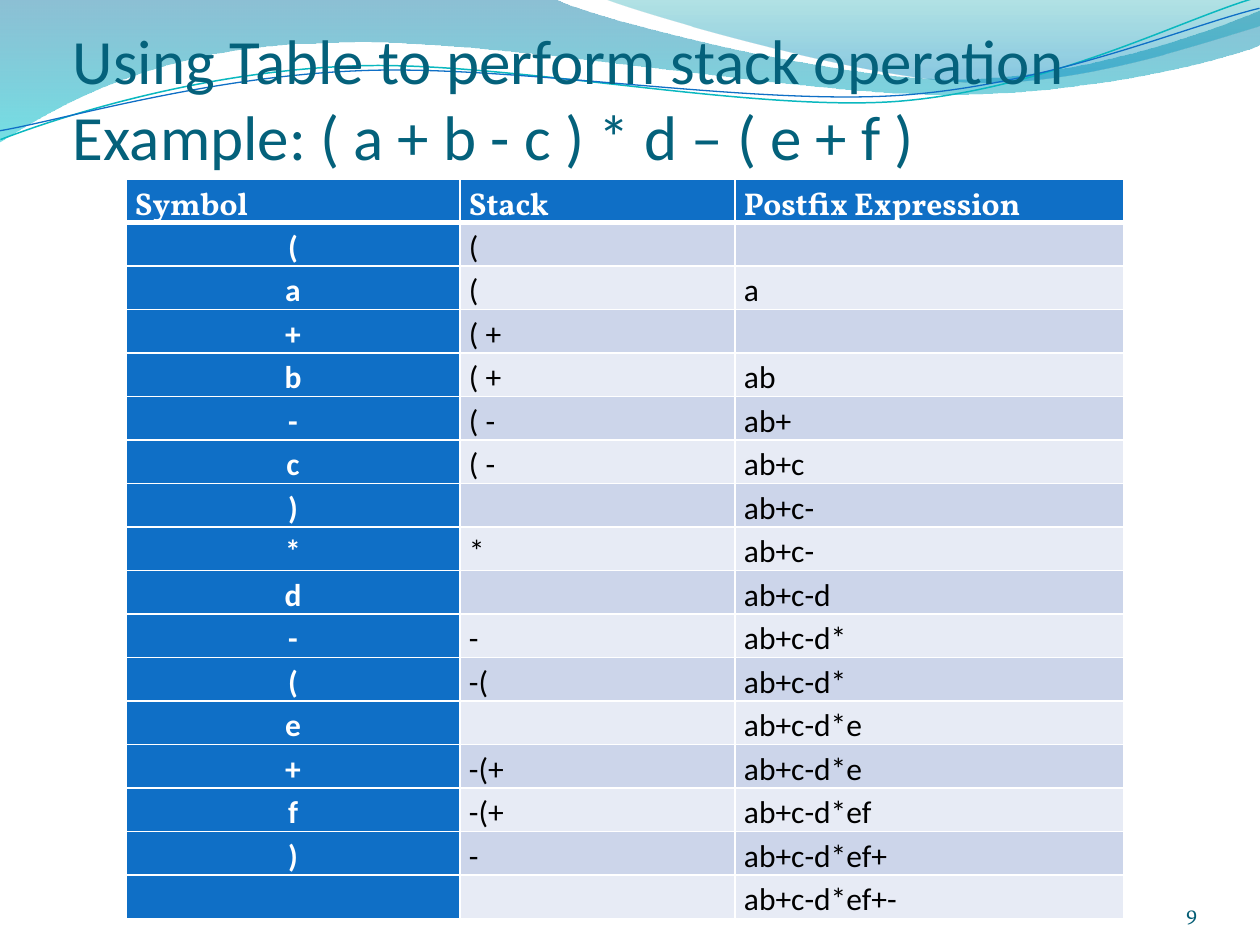
from lxml.etree import SubElement
from pptx import Presentation
from pptx.dml.color import RGBColor
from pptx.enum.text import MSO_ANCHOR as Anchor, PP_ALIGN as Align
from pptx.oxml.ns import qn
from pptx.util import Pt

PX = 914400 / 126

WHITE = RGBColor(0xFF, 0xFF, 0xFF)
BLACK = RGBColor(0, 0, 0)
BLUE = RGBColor(0x0F, 0x6F, 0xC6)
BAND_DARK = RGBColor(0xCC, 0xD5, 0xEA)
BAND_LIGHT = RGBColor(0xE7, 0xEB, 0xF5)
TITLE_TEAL = RGBColor(0x04, 0x61, 0x7B)
NUMBER_TEAL = RGBColor(0x04, 0x5D, 0x75)
TURQUOISE = RGBColor(0x0A, 0xB8, 0xBF)
DEEP_BLUE = RGBColor(0x00, 0x74, 0xA1)
CYAN = RGBColor(0x00, 0xC6, 0xCF)
SEA_GREEN = RGBColor(0x00, 0xA1, 0xA9)
SKY_BLUE = RGBColor(0x00, 0x8B, 0xBF)

TITLE = "Using Table to perform stack operation\nExample: ( a + b - c ) * d \u2013 ( e + f )"
PAGE_NUMBER = "9"
HEADINGS = ("Symbol", "Stack", "Postfix Expression")
STEPS = [
    ("(", "(", ""),
    ("a", "(", "a"),
    ("+", "( +", ""),
    ("b", "( +", "ab"),
    ("-", "( -", "ab+"),
    ("c", "( -", "ab+c"),
    (")", "", "ab+c-"),
    ("*", "*", "ab+c-"),
    ("d", "", "ab+c-d"),
    ("-", "-", "ab+c-d*"),
    ("(", "-(", "ab+c-d*"),
    ("e", "", "ab+c-d*e"),
    ("+", "-(+", "ab+c-d*e"),
    ("f", "-(+", "ab+c-d*ef"),
    (")", "-", "ab+c-d*ef+"),
    ("", "", "ab+c-d*ef+-"),
]
COLUMN_WIDTHS = (334, 275, 389)
TABLE_LEFT, TABLE_TOP = 126, 179
ROW_HEIGHT = 42  # rows grow to fit their text

# Each outline is a start point, then straight (x, y) or curved (six number) pieces.
WAVES = [
    ([(0, 0), (554, -1), (600, 21, 837, 79, 955, 79), (1075, 79, 1207, 33, 1260, 11),
      (1261, 45), (1239, 55, 1096, 96, 940, 94), (784, 94, 481, 35, 324, 43),
      (163, 45, 58, 105, -1, 142), (0, 0)],
     ((0, DEEP_BLUE, 45), (1, CYAN, 55))),
    ([(604, -1), (641, 14, 859, 78, 969, 82), (1079, 87, 1211, 40, 1260, 26),
      (1260, 0), (604, -1)],
     ((0, SEA_GREEN, 30), (0.8, SKY_BLUE, 45))),
]
RIPPLE_TURN = -2.7
RIPPLES = [
    ([(-2, 110), (58, 90, 199, 52, 350, 53), (499, 53, 745, 118, 896, 114),
      (1049, 109, 1184, 45, 1260, 27)], TURQUOISE, 0.85),
    ([(-2, 101), (57, 94, 207, 57, 357, 58), (509, 58, 750, 112, 902, 108),
      (1052, 104, 1189, 52, 1262, 38)], BLUE, 0.75),
]


def px(length):
    """Turn picture pixels into EMU."""
    return round(length * PX)


def draw_outline(slide, outline, close):
    """Add a freeform with true curves and no shadow."""
    start, *pieces = outline
    builder = slide.shapes.build_freeform(*start, scale=PX)
    points = [piece[i:i + 2] for piece in pieces for i in range(0, len(piece), 2)]
    builder.add_line_segments(points, close=close)
    shape = builder.convert_to_shape()
    shape.shadow.inherit = False
    segments = iter(list(shape._element.iter(qn("a:lnTo"))))
    for piece in pieces:
        segment = next(segments)
        if len(piece) == 6:
            segment.tag = qn("a:cubicBezTo")
            for _ in range(2):
                extra = next(segments)
                segment.append(extra[0])
                extra.getparent().remove(extra)
    return shape


def add_wave(slide, outline, stops):
    """Add a translucent band shaded from top to bottom."""
    wave = draw_outline(slide, outline, True)
    wave.line.fill.background()
    wave.fill.gradient()
    wave.fill.gradient_angle = 270
    for stop, (position, color, _) in zip(wave.fill.gradient_stops, stops):
        stop.position = position
        stop.color.rgb = color
    tints = wave._element.spPr.iter(qn("a:srgbClr"))
    for tint, (_, _, opacity) in zip(tints, stops):
        SubElement(tint, qn("a:alpha"), val=str(opacity * 1000))


def add_ripple(slide, outline, color, width):
    """Add a thin wavy line, slightly turned."""
    ripple = draw_outline(slide, outline, False)
    ripple.rotation = RIPPLE_TURN
    ripple.fill.background()
    ripple.line.color.rgb = color
    ripple.line.width = Pt(width)


def write(frame, text, font="Calibri", size=18, color=BLACK, bold=False,
          align=Align.LEFT, spacing=None):
    """Put formatted text into a text frame."""
    paragraph = frame.paragraphs[0]
    paragraph.text = text
    paragraph.alignment = align
    paragraph.line_spacing = spacing
    for run in paragraph.runs:
        run.font.name = font
        run.font.size = Pt(size)
        run.font.bold = bold
        run.font.color.rgb = color


def add_label(slide, box, text, top_inset=0, **style):
    """Add a wrapped text box whose text rests on the bottom."""
    frame = slide.shapes.add_textbox(*map(px, box)).text_frame
    frame.word_wrap = True
    frame.vertical_anchor = Anchor.BOTTOM
    frame.margin_left = frame.margin_right = frame.margin_bottom = 0
    frame.margin_top = px(top_inset)
    write(frame, text, **style)


def format_cell(cell, fill, bottom_width):
    """Set a cell's insets, white borders and fill."""
    cell.margin_left = cell.margin_right = px(9)
    cell.margin_top = cell.margin_bottom = 0
    properties = cell._tc.get_or_add_tcPr()
    for side, width in (("L", 1), ("R", 1), ("T", 1), ("B", bottom_width)):
        border = SubElement(properties, qn(f"a:ln{side}"), w=str(Pt(width)))
        paint = SubElement(border, qn("a:solidFill"))
        SubElement(paint, qn("a:srgbClr"), val=str(WHITE))
    cell.fill.solid()
    cell.fill.fore_color.rgb = fill


def add_stack_table(slide):
    """Add the table that traces the conversion step by step."""
    rows = [HEADINGS, *STEPS]
    table = slide.shapes.add_table(
        len(rows), len(HEADINGS), px(TABLE_LEFT), px(TABLE_TOP),
        px(sum(COLUMN_WIDTHS)), px(ROW_HEIGHT * len(rows))).table
    table.first_col = True
    for column, width in zip(table.columns, COLUMN_WIDTHS):
        column.width = px(width)
    for r, values in enumerate(rows):
        table.rows[r].height = px(ROW_HEIGHT)
        for c, value in enumerate(values):
            heading, strong = r == 0, r == 0 or c == 0
            band = BAND_DARK if r % 2 else BAND_LIGHT
            cell = table.cell(r, c)
            format_cell(cell, BLUE if strong else band, 3 if heading else 1)
            write(cell.text_frame, value, spacing=1.15, bold=strong,
                  font="Vollkorn" if heading else "Calibri",
                  color=WHITE if strong else BLACK,
                  align=Align.CENTER if c == 0 and not heading else Align.LEFT)


def main():
    """Build and save the slide."""
    deck = Presentation()
    deck.slide_width, deck.slide_height = px(1260), px(945)
    slide = deck.slides.add_slide(deck.slide_layouts[6])
    for outline, stops in WAVES:
        add_wave(slide, outline, stops)
    for outline, color, width in RIPPLES:
        add_ripple(slide, outline, color, width)
    add_label(slide, (73, 5, 1134, 168), TITLE, top_inset=6, size=36, color=TITLE_TEAL)
    add_stack_table(slide)
    add_label(slide, (1092, 876, 105, 50), PAGE_NUMBER, font="Vollkorn", size=12,
              color=NUMBER_TEAL, align=Align.RIGHT)
    deck.save("out.pptx")


main()
